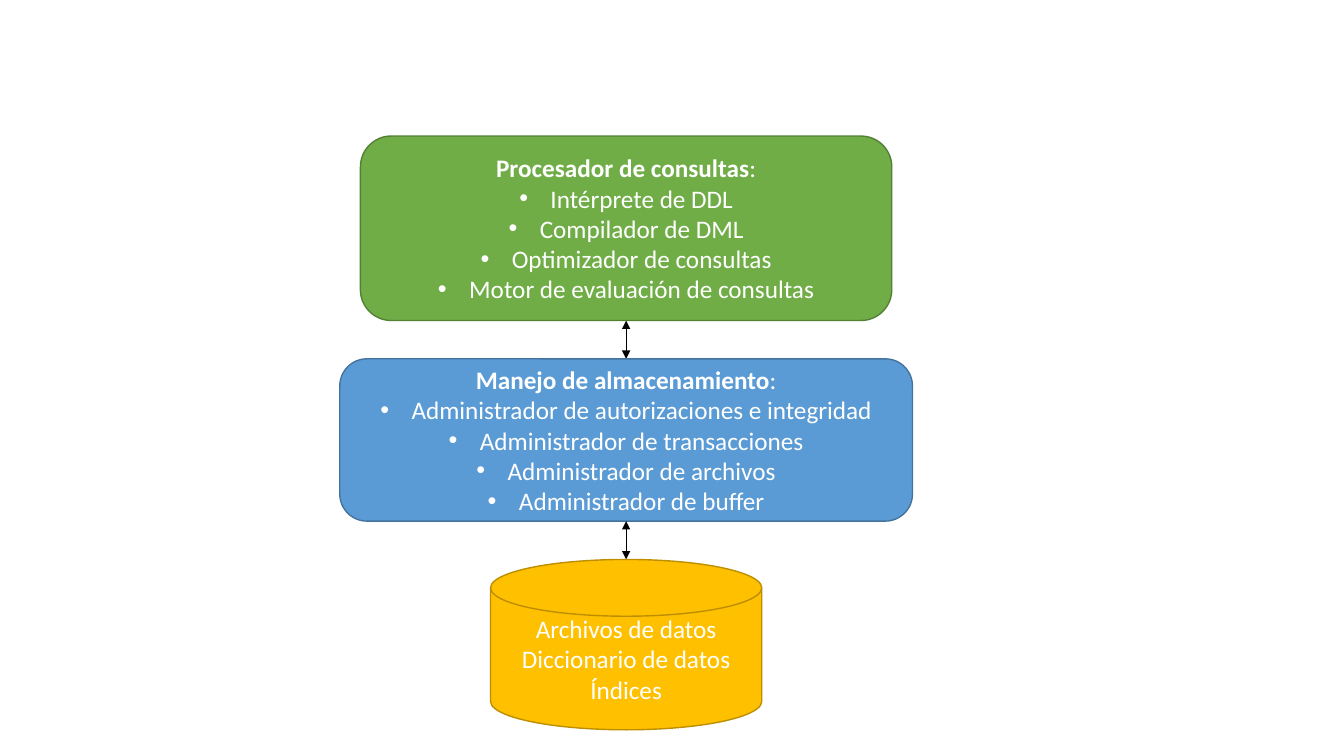
from dataclasses import dataclass

from lxml import etree
from pptx import Presentation
from pptx.dml.color import RGBColor
from pptx.enum.shapes import MSO_CONNECTOR, MSO_SHAPE
from pptx.enum.text import MSO_ANCHOR, PP_ALIGN
from pptx.oxml.ns import qn
from pptx.slide import Slide
from pptx.util import Inches, Pt

ROUNDED = MSO_SHAPE.ROUNDED_RECTANGLE
DISK = MSO_SHAPE.FLOWCHART_MAGNETIC_DISK
STRAIGHT = MSO_CONNECTOR.STRAIGHT
MIDDLE = MSO_ANCHOR.MIDDLE
CENTER = PP_ALIGN.CENTER

COLORS = {
    "query": "70AD47",
    "query_line": "538035",
    "storage": "5B9BD5",
    "storage_line": "43739E",
    "data": "FFC000",
    "data_line": "BD8E00",
    "text": "FFFFFF",
    "arrow": "000000",
}
FONT = "Calibri"
CENTER_X = 6.21
TOP = 1.35
GAP = 0.38
INDENT = Inches(0.31)


@dataclass
class Layer:
    shape: int
    color: str
    width: float
    height: float
    title: str
    lines: list[str]


LAYERS = [
    Layer(ROUNDED, "query", 5.27, 1.83, "Procesador de consultas", [
        "Intérprete de DDL",
        "Compilador de DML",
        "Optimizador de consultas",
        "Motor de evaluación de consultas",
    ]),
    Layer(ROUNDED, "storage", 5.68, 1.61, "Manejo de almacenamiento", [
        "Administrador de autorizaciones e integridad",
        "Administrador de transacciones",
        "Administrador de archivos",
        "Administrador de buffer",
    ]),
    Layer(DISK, "data", 2.69, 1.69, "", [
        "Archivos de datos",
        "Diccionario de datos",
        "Índices",
    ]),
]


def rgb(name: str) -> RGBColor:
    return RGBColor.from_string(COLORS[name])


def add_bullet(p) -> None:
    pPr = p._p.get_or_add_pPr()
    pPr.set("marL", str(INDENT))
    pPr.set("indent", str(-INDENT))
    etree.SubElement(pPr, qn("a:buFont"), typeface="Arial")
    etree.SubElement(pPr, qn("a:buChar"), char="•")


def add_layer(s: Slide, layer: Layer, top: float) -> None:
    sp = s.shapes.add_shape(
        layer.shape, Inches(CENTER_X - layer.width / 2), Inches(top),
        Inches(layer.width), Inches(layer.height))
    sp.shadow.inherit = False
    sp.fill.solid()
    sp.fill.fore_color.rgb = rgb(layer.color)
    sp.line.color.rgb = rgb(layer.color + "_line")
    sp.line.width = Pt(1)

    tf = sp.text_frame
    tf.word_wrap = True
    tf.vertical_anchor = MIDDLE
    heading = [layer.title] if layer.title else []
    tf.text = "\n".join(heading + layer.lines)
    if layer.title:
        title, *items = tf.paragraphs
        title.runs[0].font.bold = True
        title.add_run().text = ":"
        for p in items:
            add_bullet(p)
    for p in tf.paragraphs:
        p.alignment = CENTER
        for r in p.runs:
            r.font.name = FONT
            r.font.size = Pt(18)
            r.font.color.rgb = rgb("text")


def add_arrow(s: Slide, top: float) -> None:
    x = Inches(CENTER_X)
    line = s.shapes.add_connector(STRAIGHT, x, Inches(top), x, Inches(top + GAP))
    line.line.color.rgb = rgb("arrow")
    line.line.width = Pt(0.5)
    ln = line.line._get_or_add_ln()
    for end in ("a:headEnd", "a:tailEnd"):
        etree.SubElement(ln, qn(end), type="triangle")
    etree.SubElement(line._element.spPr, qn("a:effectLst"))


prs = Presentation()
prs.slide_width = Inches(13.33)
prs.slide_height = Inches(7.5)
s = prs.slides.add_slide(prs.slide_layouts[6])

top = TOP
for i, layer in enumerate(LAYERS):
    if i:
        add_arrow(s, top)
        top += GAP
    add_layer(s, layer, top)
    top += layer.height

prs.save("out.pptx")
